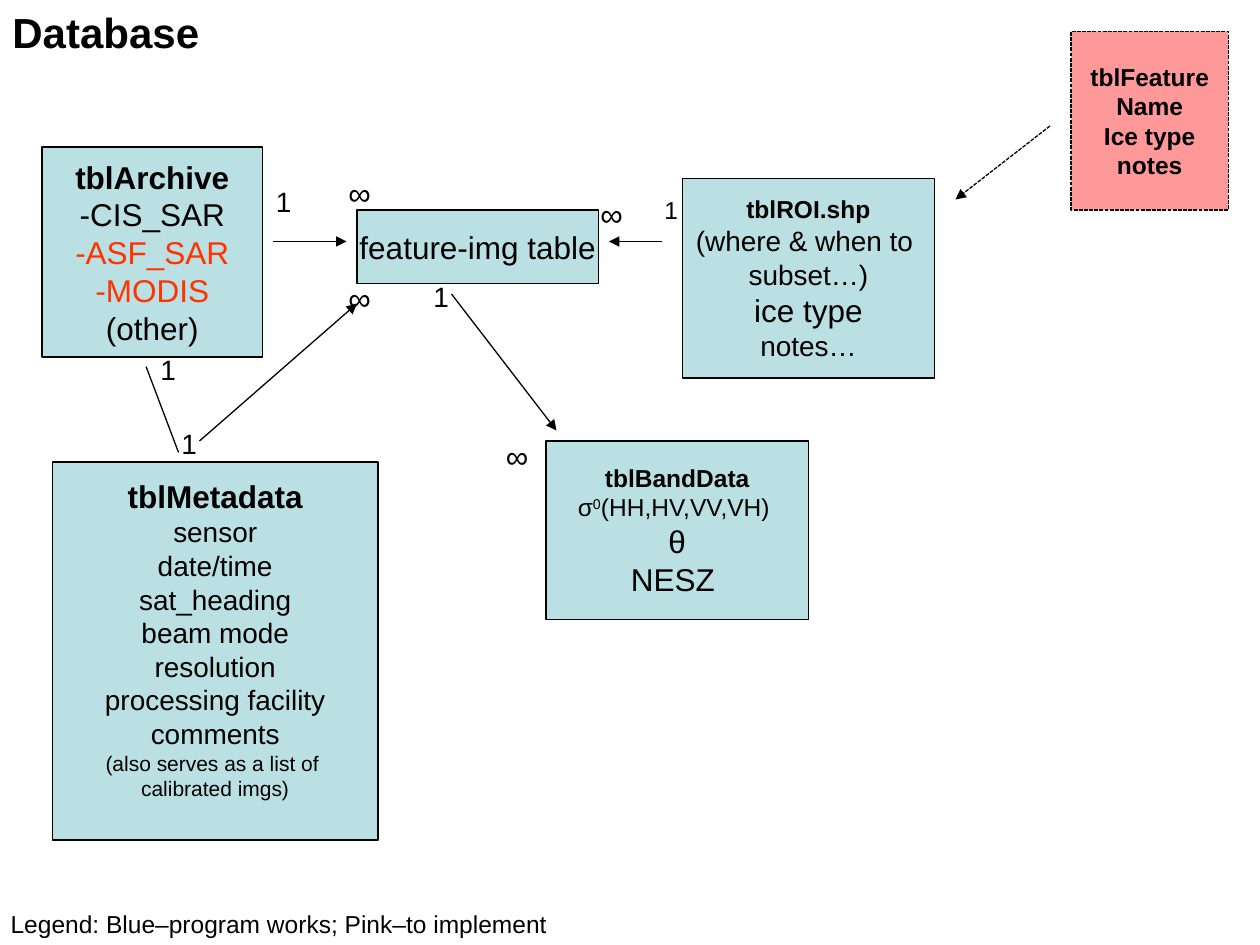
from lxml import etree
from pptx import Presentation
from pptx import util as u
from pptx.dml.color import RGBColor
from pptx.enum import dml, shapes, text
from pptx.oxml import ns

BLUE = RGBColor(0xBB, 0xE0, 0xE3)
PINK = RGBColor(0xFF, 0x99, 0x99)
ORANGE = RGBColor(0xFF, 0x33, 0x00)
BLACK = RGBColor(0, 0, 0)


class Diagram:
    """Draws table boxes, labels and relations in one style on a slide."""

    font = "Arial"
    stroke = 0.74

    def __init__(self, slide):
        self.slide = slide

    def outline(self, line, dashed):
        line.color.rgb = BLACK
        line.width = u.Pt(self.stroke)
        if dashed:
            line.dash_style = dml.MSO_LINE.SQUARE_DOT

    def add_words(self, paragraph, words, size, bold=False, color=BLACK, raised=False):
        run = paragraph.add_run()
        run.text = words
        style = {"name": self.font, "size": u.Pt(size), "bold": bold}
        for key, value in style.items():
            setattr(run.font, key, value)
        run.font.color.rgb = color
        if raised:
            run._r.get_or_add_rPr().set("baseline", "30000")

    def table_box(self, place, rows, fill=BLUE, dashed=False, bottom=3.6):
        box = self.slide.shapes.add_shape(
            shapes.MSO_SHAPE.RECTANGLE, *map(u.Pt, place))
        box.shadow.inherit = False
        box.fill.solid()
        box.fill.fore_color.rgb = fill
        self.outline(box.line, dashed)
        frame = box.text_frame
        layout = {"word_wrap": False, "margin_bottom": u.Pt(bottom),
                  "vertical_anchor": text.MSO_ANCHOR.MIDDLE}
        for key, value in layout.items():
            setattr(frame, key, value)
        for index, row in enumerate(rows):
            paragraph = frame.add_paragraph() if index else frame.paragraphs[0]
            paragraph.alignment = text.PP_ALIGN.CENTER
            for piece in row if isinstance(row, list) else [row]:
                self.add_words(paragraph, *piece)

    def label(self, place, words, size, bold=False, wrap=False):
        frame = self.slide.shapes.add_textbox(*map(u.Pt, place)).text_frame
        layout = {"word_wrap": wrap, "auto_size": text.MSO_AUTO_SIZE.SHAPE_TO_FIT_TEXT}
        for key, value in layout.items():
            setattr(frame, key, value)
        self.add_words(frame.paragraphs[0], words, size, bold)

    def one(self, left, top, size=16):
        self.label((left, top, size + 7, size * 1.2 + 7.2), "1", size)

    def many(self, left, top):
        self.label((left, top, 26, 28.8), "∞", 18, wrap=True)

    def relation(self, start, end, arrow=True, dashed=False):
        link = self.slide.shapes.add_connector(
            shapes.MSO_CONNECTOR.STRAIGHT, *map(u.Pt, start + end))
        self.outline(link.line, dashed)
        properties = link._element.spPr
        if arrow:
            etree.SubElement(properties.get_or_add_ln(), ns.qn("a:tailEnd"), type="triangle")
        etree.SubElement(properties, ns.qn("a:effectLst"))


deck = Presentation()
deck.slide_width, deck.slide_height = u.Pt(720), u.Pt(540)
diagram = Diagram(deck.slides.add_slide(deck.slide_layouts[6]))

diagram.label((0, 0, 121, 36), "Database", 24, bold=True)

diagram.table_box((204, 120, 138, 42), [("feature-img table", 18)])
diagram.table_box((390, 102, 144, 114), [
    ("tblROI.shp", 14, True), ("(where & when to ", 16), ("subset…)", 16),
    ("ice type", 18), ("notes…", 16)])
diagram.table_box((24, 84, 126, 120), [
    ("tblArchive", 18, True), ("-CIS_SAR", 18), ("-ASF_SAR", 18, False, ORANGE),
    ("-MODIS", 18, False, ORANGE), ("(other)", 18)])
diagram.table_box((312, 252, 150, 102), [
    ("tblBandData", 14, True),
    [("σ", 14), ("0", 14, False, BLACK, True), ("(HH,HV,VV,VH) ", 14)],
    ("θ", 18), ("NESZ ", 18)])
metadata_fields = ["sensor", "date/time", "sat_heading", "beam mode",
                   "resolution", "processing facility", "comments"]
diagram.table_box(
    (30, 264, 186, 216),
    [("tblMetadata", 18, True)] + [(field, 16) for field in metadata_fields]
    + [("(also serves as a list of ", 12), ("calibrated imgs)", 12)],
    bottom=17.4)
diagram.table_box(
    (612, 18, 90, 102),
    [(field, 14, True) for field in ("tblFeature", "Name", "Ice type", "notes")],
    fill=PINK, dashed=True)

diagram.relation((156, 138), (198, 138))
diagram.relation((378, 138), (348, 138))
diagram.relation((102, 258.5), (83.5, 209.5), arrow=False)
diagram.relation((258, 168), (318, 246))
diagram.relation((114, 252), (204, 173.5))
diagram.relation((600, 72), (546, 114), dashed=True)

for left, top in [(150.5, 102), (240.5, 156), (96.5, 240), (84.5, 198)]:
    diagram.one(left, top)
diagram.one(372.5, 108, size=14)
for left, top in [(192, 96), (336, 108), (282, 246), (192, 156)]:
    diagram.many(left, top)

diagram.label((-1, 516, 321, 24), "Legend: Blue–program works; Pink–to implement", 14)

deck.save("out.pptx")
